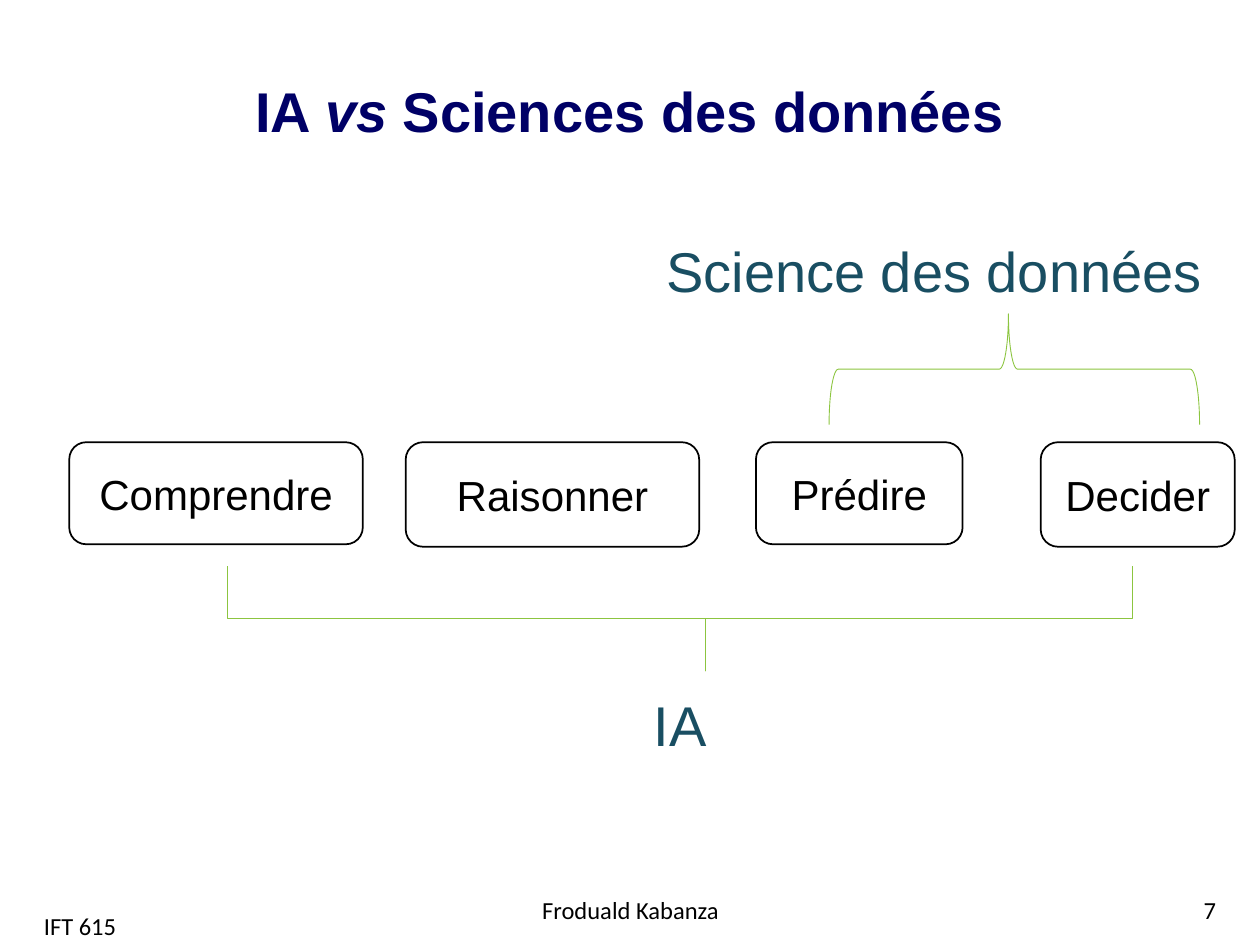
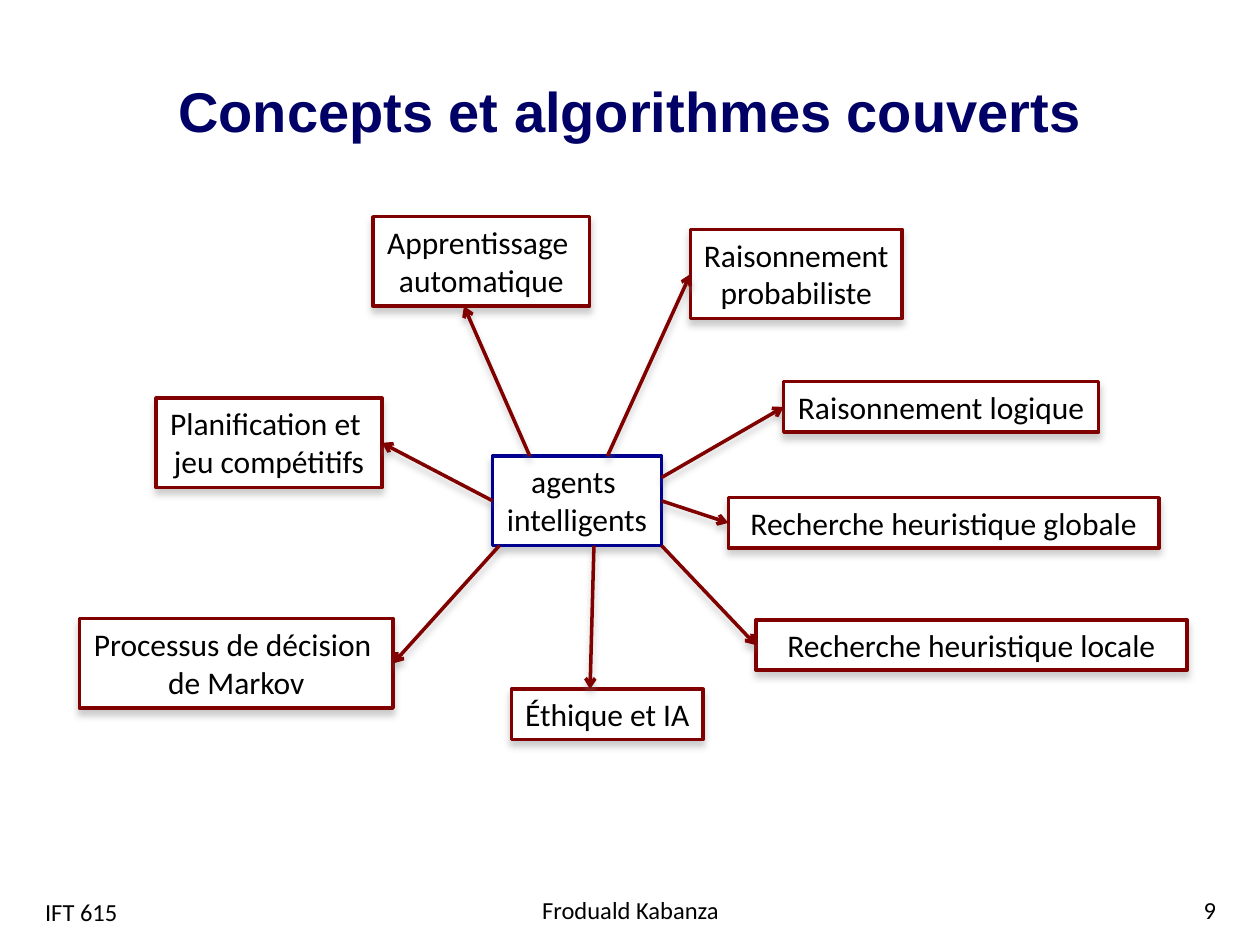
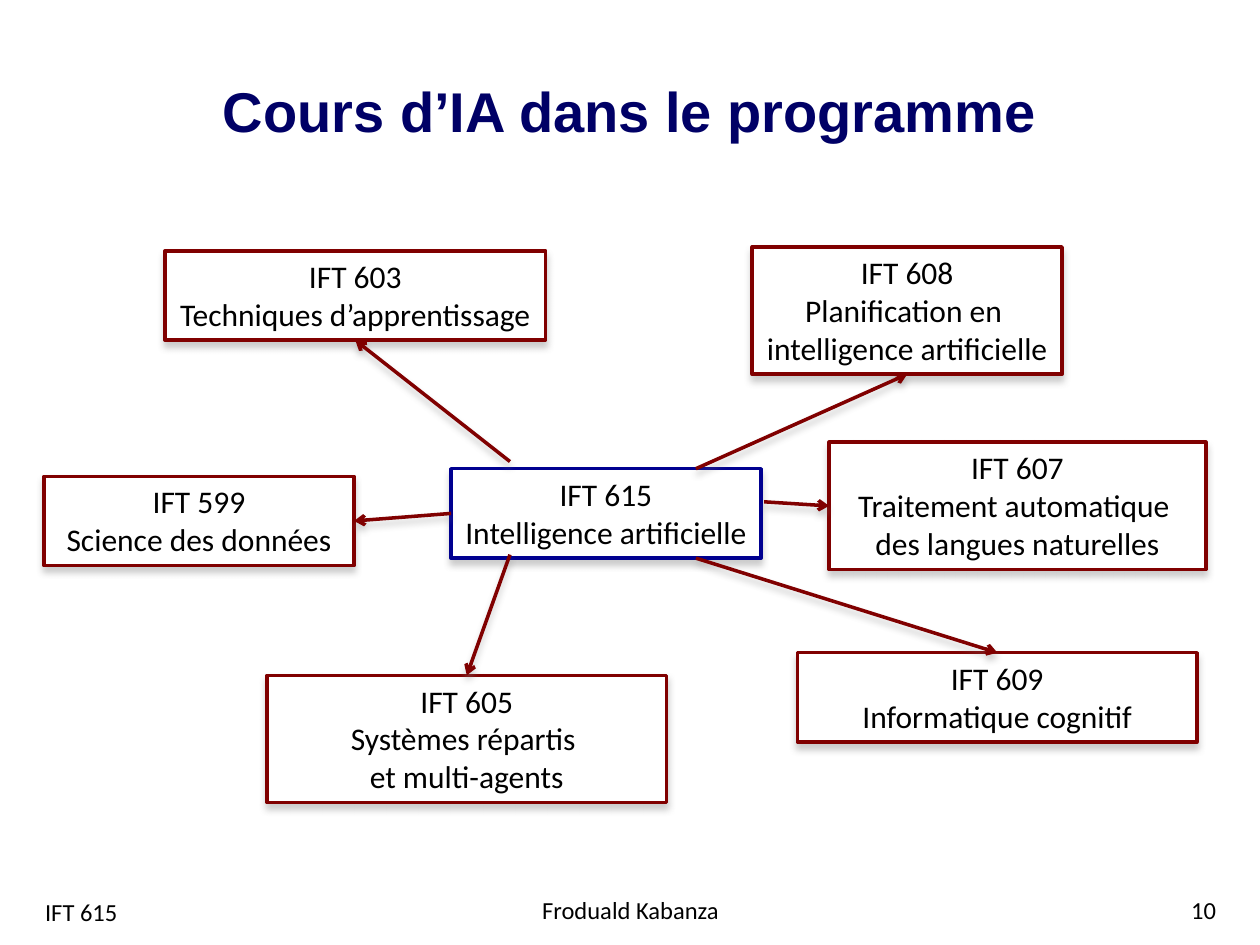
from dataclasses import dataclass

from lxml import etree
from pptx import Presentation
from pptx.dml.color import RGBColor
from pptx.enum.shapes import MSO_CONNECTOR, MSO_SHAPE
from pptx.enum.text import MSO_ANCHOR, PP_ALIGN
from pptx.oxml.ns import qn
from pptx.util import Emu, Inches, Pt

LEFT, MID, RIGHT = PP_ALIGN.LEFT, PP_ALIGN.CENTER, PP_ALIGN.RIGHT
TOP, CENTER, BASE = MSO_ANCHOR.TOP, MSO_ANCHOR.MIDDLE, MSO_ANCHOR.BOTTOM
RECT, ROUND, BRACE = MSO_SHAPE.RECTANGLE, MSO_SHAPE.ROUNDED_RECTANGLE, MSO_SHAPE.LEFT_BRACE
LINE = MSO_CONNECTOR.STRAIGHT


@dataclass(frozen=True)
class Theme:
    navy: str = "000066"
    ink: str = "000000"
    paper: str = "FFFFFF"
    teal: str = "194E62"
    green: str = "8CC540"
    blue: str = "000090"
    red: str = "800000"
    shade: str = "808080"
    head: str = "Arial"
    body: str = "Calibri"
    big: int = 32
    card: int = 24
    node: int = 18
    foot: int = 14


T = Theme()

# Grid: 100 columns by 75 rows on a 10 by 7.5 inch page
COLS, ROWS = 100, 75
WIDE, HIGH = Inches(10), Inches(7.5)
PAGE = (0, 0, COLS, ROWS)
BODY = (0, 15, COLS, 52)


def inside(box, x, y, w, h):
    """Move a part into the box that holds it."""
    return box[0] + x, box[1] + y, w, h


def emu(x, y):
    return Emu(round(x * WIDE / COLS)), Emu(round(y * HIGH / ROWS))


def point(box, share):
    """Point at a share of a box's width and height."""
    return emu(box[0] + share[0] * box[2], box[1] + share[1] * box[3])


def write(shape, text, font=T.body, size=T.node, color=T.ink, bold=False,
          align=MID, anchor=TOP, wrap=True):
    """Fill a shape with lines of text; underscores enclose italics."""
    frame = shape.text_frame
    frame.word_wrap = wrap
    frame.vertical_anchor = anchor
    for i, line in enumerate(text.split("\n")):
        para = frame.add_paragraph() if i else frame.paragraphs[0]
        para.alignment = align
        for j, part in enumerate(line.split("_")):
            run = para.add_run()
            run.text = part
            run.font.name, run.font.size = font, Pt(size)
            run.font.bold, run.font.italic = bold, j % 2 == 1
            run.font.color.rgb = RGBColor.from_string(color)


def note(slide, box, text, **form):
    area = slide.shapes.add_textbox(*emu(*box[:2]), *emu(*box[2:]))
    write(area, text, **form)


def stroke(line, color, width):
    line.color.rgb = RGBColor.from_string(color)
    line.width = Pt(width)


def draw(slide, kind, box, color, width, fill=T.paper):
    shape = slide.shapes.add_shape(kind, *emu(*box[:2]), *emu(*box[2:]))
    shape.shadow.inherit = False
    if fill:
        shape.fill.solid()
        shape.fill.fore_color.rgb = RGBColor.from_string(fill)
    else:
        shape.fill.background()
    stroke(shape.line, color, width)
    return shape


def shadow(shape):
    """Soft grey shadow below a shape or connector."""
    props = shape._element.spPr
    list_ = props.find(qn("a:effectLst"))
    if list_ is None:
        list_ = etree.SubElement(props, qn("a:effectLst"))
    outer = etree.SubElement(list_, qn("a:outerShdw"), blurRad=str(Pt(4)),
                             dist=str(Pt(3)), dir="5400000", rotWithShape="0")
    tint = etree.SubElement(outer, qn("a:srgbClr"), val=T.shade)
    etree.SubElement(tint, qn("a:alpha"), val="40000")


def arrow(slide, start, end):
    link = slide.shapes.add_connector(LINE, *start, *end)
    stroke(link.line, T.red, 2)
    etree.SubElement(link.line._get_or_add_ln(), qn("a:tailEnd"), type="arrow")
    shadow(link)


def node(slide, box, text, color=T.red):
    shape = draw(slide, RECT, box, color, 2)
    shadow(shape)
    write(shape, text, wrap=False)


def brace(slide, box, turn, bend, tip):
    shape = draw(slide, BRACE, box, T.green, 0.5, fill=None)
    shape.rotation = turn
    shape.adjustments[0], shape.adjustments[1] = bend, tip


# Title and footers, shared by all slides
def base(deck, box, title, number, code=(2.6, 70.7)):
    slide = deck.slides.add_slide(deck.slide_layouts[6])
    note(slide, inside(box, 2.5, 1.1, 95, 10.8), title, font=T.head,
         size=T.big, color=T.navy, bold=True, anchor=BASE)
    feet = [(34.2, 70.5, 31.7, "Froduald Kabanza", MID),
            (74.2, 70.5, 23.3, str(number), RIGHT),
            (*code, 23.3, "IFT 615", LEFT)]
    for x, y, w, text, align in feet:
        note(slide, inside(box, x, y, w, 3.5), text, size=T.foot, align=align)
    return slide


# Four skills, with a brace for each field that covers them
def skills(slide, box):
    cards = [("Comprendre", 5.5, 23.3, 8.1), ("Raisonner", 32.2, 23.3, 8.3),
             ("Prédire", 60, 16.4, 8.1), ("Decider", 82.6, 15.4, 8.3)]
    for text, x, w, h in cards:
        card = draw(slide, ROUND, inside(box, x, 20.1, w, h), T.ink, 1)
        write(card, text, font=T.head, size=T.card, anchor=CENTER, wrap=False)
    brace(slide, inside(box, 76.1, -0.4, 8.8, 29.4), 90, 0.083, 0.516)
    brace(slide, inside(box, 49.8, -1.8, 8.3, 71.8), 270, 0, 0.528)
    for text, x, y, w, h in [("Science des données", 51.9, 4, 46, 5.6),
                             ("IA", 50.9, 35.6, 10, 10)]:
        note(slide, inside(box, x, y, w, h), text, font=T.head, size=T.big,
             color=T.teal, align=LEFT, anchor=BASE)


# A hub with arrows to its nodes: text, place, start on hub, end on node
def web(slide, box, hub, spokes):
    name, spot = hub
    core = inside(box, *spot)
    node(slide, core, name, T.blue)
    ends = []
    for text, place, start, end in spokes:
        leaf = inside(box, *place)
        node(slide, leaf, text)
        ends.append((point(core, start), point(leaf, end)))
    for start, end in ends:
        arrow(slide, start, end)


WEST, EAST, NORTH, SOUTH = (0, 0.5), (1, 0.5), (0.5, 0), (0.5, 1)

TOPICS = [
    ("Raisonnement logique", (62.2, 15.3, 25, 4), (1, 0.24), WEST),
    ("Apprentissage \nautomatique", (29.6, 2.2, 17.2, 7.1), (0.22, 0), (0.42, 1)),
    ("Processus de décision \nde Markov", (6.3, 34.1, 24.9, 7.1), (0.04, 1), EAST),
    ("Planification et \njeu compétitifs", (12.4, 16.6, 17.9, 7.1), WEST, EAST),
    ("Recherche heuristique locale", (60, 34.2, 34.2, 4), (1, 1), WEST),
    ("Recherche heuristique globale", (57.8, 24.5, 34.2, 4), EAST, WEST),
    ("Éthique et IA", (40.6, 39.7, 15.2, 4), (0.6, 1), (0.41, 0)),
    ("Raisonnement\nprobabiliste", (54.8, 3.2, 16.8, 7.1), (0.68, 0), WEST),
]

COURSES = [
    ("IFT 603\nTechniques d’apprentissage", (13.1, 4.9, 30.2, 7.1), (0.19, -0.08), SOUTH),
    ("IFT 605\nSystèmes répartis \net multi-agents", (21.2, 38.6, 31.7, 10.1),
     (0.19, 0.96), NORTH),
    ("IFT 609\nInformatique cognitif", (63.3, 36.8, 31.7, 7.1), (0.79, 1), NORTH),
    ("IFT 608\nPlanification en \nintelligence artificielle", (59.7, 4.6, 24.6, 10.1),
     (0.79, 0), SOUTH),
    ("IFT 607\nTraitement automatique \ndes langues naturelles", (65.8, 20.1, 29.9, 10.1),
     (1.01, 0.37), WEST),
    ("IFT 599\nScience des données", (3.5, 22.8, 24.6, 7.1), WEST, EAST),
]


def main():
    deck = Presentation()
    deck.slide_width, deck.slide_height = WIDE, HIGH
    skills(base(deck, PAGE, "IA _vs_ Sciences des données", 7, code=(2.5, 71.8)), BODY)
    web(base(deck, PAGE, "Concepts et algorithmes couverts", 9), BODY,
        ("agents \nintelligents", (39.1, 21.2, 13.4, 7.1)), TOPICS)
    web(base(deck, PAGE, "Cours d’IA dans le programme", 10), BODY,
        ("IFT 615\nIntelligence artificielle", (35.8, 22.2, 24.6, 7.1)), COURSES)
    deck.save("out.pptx")


if __name__ == "__main__":
    main()
